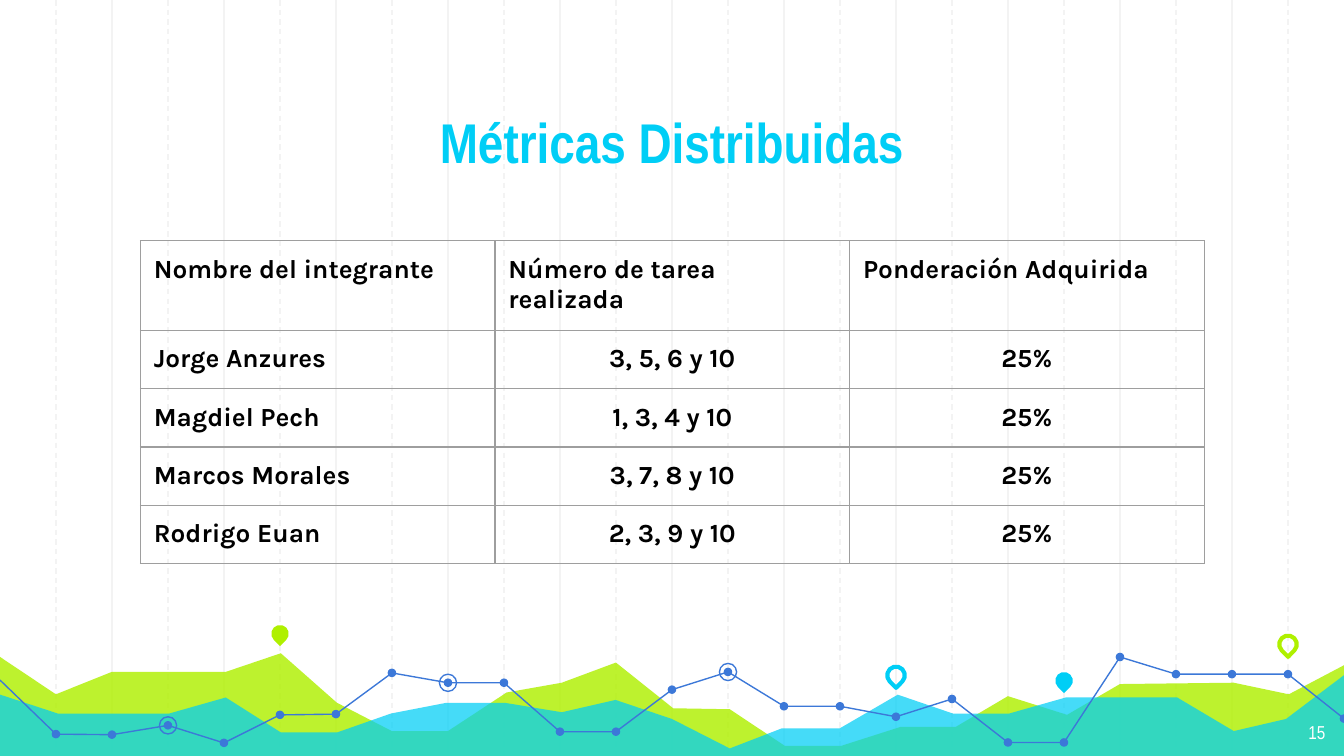
from dataclasses import dataclass
from typing import Any, Optional

import pptx
import pptx.dml.color
import pptx.enum.dml
import pptx.enum.shapes
import pptx.enum.text
import pptx.oxml
import pptx.oxml.ns
import pptx.util

Pt = pptx.util.Pt
SHAPES = pptx.enum.shapes.MSO_SHAPE
ALIGN = pptx.enum.text.PP_ALIGN
ANCHOR = pptx.enum.text.MSO_ANCHOR
WIDTH, HEIGHT, STEP = 720, 405, 30
LIME, CYAN, BLUE, GRID, BORDER = "AFF000", "00CEF6", "3C78D8", "F3F3F3", "9E9E9E"
Points = list[tuple[float, float]]


@dataclass
class Area:
    color: str
    opacity: int
    outline: Points


@dataclass
class Marker:
    column: int
    y: float
    color: str
    hollow: bool


AREAS = [
    Area(LIME, 82, [
        (-2, 350.6), (30, 372), (60, 360), (121, 360), (150.5, 350), (180.5, 376.5),
        (210, 391.7), (240, 391.7), (271.5, 371), (301, 365.8), (330, 355),
        (360.7, 379.5), (391, 380), (420.5, 399.6), (450.7, 399.6), (482.4, 389.5),
        (512, 389.5), (540, 373), (571.7, 383), (600, 366.5), (661, 365.8),
        (690.5, 372), (721.4, 355.7), (721.4, 406), (-2, 406)]),
    Area(CYAN, 73, [
        (-2, 371.5), (31, 382.3), (90.7, 382.3), (121, 373.7), (150.5, 392.4),
        (180.7, 392.4), (209.5, 382.3), (239, 376.6), (270.7, 376.6), (301, 381.6),
        (329.8, 375), (360, 385.2), (391, 401), (419, 390.2), (450, 390.2),
        (481, 372.2), (510.5, 382.3), (540.7, 382.3), (571, 373.7), (630.7, 373.7),
        (661, 391.7), (689, 385.2), (721.4, 360.7), (721.4, 406.8), (-2, 406.8)]),
]
TREND = [364.3, 393.3, 393.6, 388.6, 398, 383, 382.6, 360.5, 365.8, 365.8, 392, 392,
         369.5, 360, 378.4, 378.4, 384, 374.5, 397.8, 397.8, 352, 361.2, 361.2, 361.2, 385]
TREND_PARTS = [(0, 11), (11, 20), (20, 24)]
RINGED_COLUMNS = [8, 3, 13]
PINS = [Marker(5, 339.5, LIME, False), Marker(16, 361.8, CYAN, True),
        Marker(19, 364.7, CYAN, False), Marker(23, 345.2, LIME, True)]
ROWS = [
    ("Nombre del integrante", "Número de tarea realizada", "Ponderación Adquirida"),
    ("Jorge Anzures", "3, 5, 6 y 10", "25%"),
    ("Magdiel Pech", "1, 3, 4 y 10", "25%"),
    ("Marcos Morales", "3, 7, 8 y 10", "25%"),
    ("Rodrigo Euan", "2, 3, 9 y 10", "25%"),
]


def rgb(color: str) -> pptx.dml.color.RGBColor:
    return pptx.dml.color.RGBColor.from_string(color)


def paint(shape: Any, fill: Optional[str] = None, line: Optional[str] = None,
          weight: float = 0.75, opacity: int = 100) -> None:
    shape.shadow.inherit = False
    if fill:
        shape.fill.solid()
        shape.fill.fore_color.rgb = rgb(fill)
        if opacity < 100:
            color = shape.fill._xPr.find(".//" + pptx.oxml.ns.qn("a:srgbClr"))
            alpha = color.makeelement(pptx.oxml.ns.qn("a:alpha"), {"val": str(opacity * 1000)})
            color.append(alpha)
    else:
        shape.fill.background()
    if line:
        shape.line.color.rgb = rgb(line)
        shape.line.width = Pt(weight)
    else:
        shape.line.fill.background()


def write(frame: Any, text: str, *, font: str, size: float, color: str,
          bold: bool = False, align: Any = ALIGN.LEFT) -> None:
    para = frame.paragraphs[0]
    para.alignment = align
    span = para.add_run()
    span.text = text
    span.font.name, span.font.size, span.font.bold = font, Pt(size), bold
    span.font.color.rgb = rgb(color)


def add_text(page: Any, text: str, left: float, top: float, width: float, height: float,
             anchor: Any = ANCHOR.TOP, **style: Any) -> None:
    frame = page.shapes.add_textbox(Pt(left), Pt(top), Pt(width), Pt(height)).text_frame
    frame.word_wrap = True
    frame.vertical_anchor = anchor
    frame.margin_left = frame.margin_right = frame.margin_top = frame.margin_bottom = Pt(7.2)
    write(frame, text, **style)


def add_grid_line(page: Any, column: int) -> None:
    x = Pt(column * STEP)
    line = page.shapes.add_connector(
        pptx.enum.shapes.MSO_CONNECTOR.STRAIGHT, x, Pt(0), x, Pt(HEIGHT))
    line.line.color.rgb = rgb(GRID)
    line.line.width = Pt(0.75)
    if column % 2:
        line.line.dash_style = pptx.enum.dml.MSO_LINE.DASH
    properties = line._element.spPr
    properties.append(properties.makeelement(pptx.oxml.ns.qn("a:effectLst"), {}))


def add_path(page: Any, points: Points, closed: bool) -> Any:
    start, *rest = [(Pt(x), Pt(y)) for x, y in points]
    builder = page.shapes.build_freeform(*start)
    builder.add_line_segments(rest, close=closed)
    return builder.convert_to_shape()


def add_centered(page: Any, kind: Any, column: int, y: float, size: float) -> Any:
    return page.shapes.add_shape(
        kind, Pt(column * STEP - size / 2), Pt(y - size / 2), Pt(size), Pt(size))


def add_pin(page: Any, pin: Marker) -> None:
    shape = add_centered(page, SHAPES.TEAR, pin.column, pin.y, 9.4)
    shape.rotation = 135
    if pin.hollow:
        paint(shape, line=pin.color, weight=2.25)
    else:
        paint(shape, fill=pin.color)


def border_cell(cell: Any) -> None:
    properties = cell._tc.get_or_add_tcPr()
    for side in ("lnL", "lnR", "lnT", "lnB"):
        properties.append(pptx.oxml.parse_xml(
            f'<a:{side} {pptx.oxml.ns.nsdecls("a")} w="{Pt(0.75)}"><a:solidFill>'
            f'<a:srgbClr val="{BORDER}"/></a:solidFill></a:{side}>'))


def add_members_table(page: Any) -> None:
    heights = [45.4] + [30.4] * (len(ROWS) - 1)
    table = page.shapes.add_table(
        len(ROWS), 3, Pt(75.2), Pt(129), Pt(570), Pt(sum(heights))).table
    table.first_row = table.horz_banding = False
    for column in table.columns:
        column.width = Pt(190)
    for row, (height, texts) in enumerate(zip(heights, ROWS)):
        table.rows[row].height = Pt(height)
        for column, text in enumerate(texts):
            cell = table.cell(row, column)
            border_cell(cell)
            cell.fill.background()
            cell.margin_left = cell.margin_right = Pt(7.2)
            cell.margin_top = cell.margin_bottom = Pt(7.2)
            write(cell.text_frame, text, font="Karla", size=14, color="000000", bold=True,
                  align=ALIGN.CENTER if row and column else ALIGN.LEFT)


def main() -> None:
    deck = pptx.Presentation()
    deck.slide_width, deck.slide_height = Pt(WIDTH), Pt(HEIGHT)
    page = deck.slides.add_slide(deck.slide_layouts[6])

    for column in [*range(2, 24, 2), *range(1, 24, 2)]:
        add_grid_line(page, column)
    for area in AREAS:
        paint(add_path(page, area.outline, True), fill=area.color, opacity=area.opacity)
    for pin in PINS[:3]:
        add_pin(page, pin)
    trend = [(column * STEP, y) for column, y in enumerate(TREND)]
    for first, last in TREND_PARTS:
        paint(add_path(page, trend[first:last + 1], False), line=BLUE)
    for column, y in enumerate(TREND[1:], start=1):
        paint(add_centered(page, SHAPES.OVAL, column, y, 4.6), fill=BLUE)
    for column in RINGED_COLUMNS:
        paint(add_centered(page, SHAPES.OVAL, column, TREND[column], 9.2), line=BLUE)
    add_pin(page, PINS[3])

    add_text(page, "Métricas Distribuidas", 85, 44.6, 550, 56.2, ANCHOR.BOTTOM,
             font="Arial Narrow", size=30, color=CYAN, bold=True, align=ALIGN.CENTER)
    add_text(page, "15", 673.9, 380, 43.2, 25,
             font="Arial Narrow", size=10, color="FFFFFF", align=ALIGN.RIGHT)
    add_members_table(page)
    deck.save("out.pptx")


if __name__ == "__main__":
    main()
